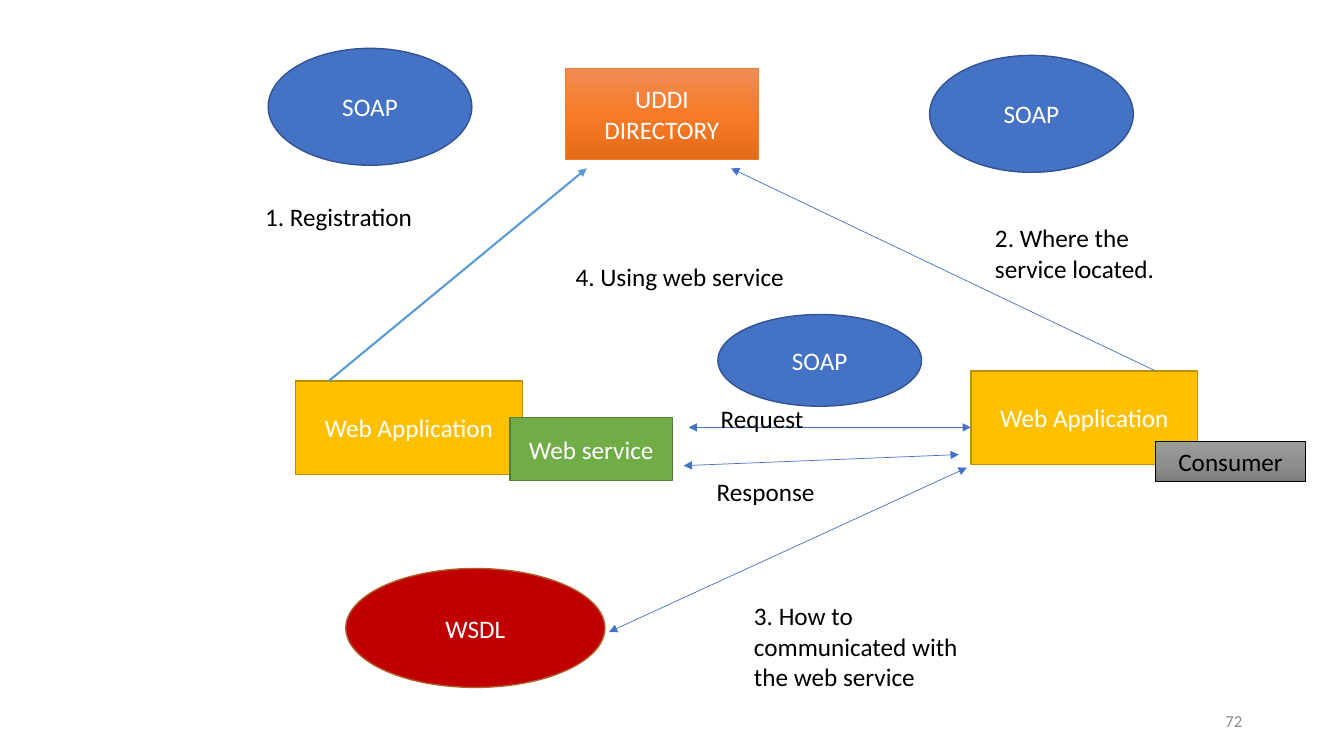
from dataclasses import dataclass

from lxml.etree import SubElement
from copy import deepcopy
from pptx import Presentation
from pptx.dml.color import RGBColor
from pptx.enum.shapes import MSO_CONNECTOR, MSO_SHAPE
from pptx.enum.text import MSO_ANCHOR, PP_ALIGN
from pptx.oxml.ns import qn
from pptx.util import Inches, Pt

FONT = "Calibri"
WHITE, BLACK, GREY = "FFFFFF", "000000", "8C8C8C"
BLUE, DARK_BLUE, LIGHT_BLUE = "4472C4", "325491", "5B9BD5"
AMBER, DARK_AMBER = "FFC000", "BD8E00"
GREEN, DARK_GREEN = "70AD47", "538035"
RED, BROWN, ORANGE = "C00000", "AF5C24", "ED7D31"
ORANGE_SHADES = ("F18C57", "F67B28", "E56C19")
GREY_SHADES = ("9D9D9D", "909090", "7C7C7C")


@dataclass
class Node:
    text: str
    left: float
    top: float
    width: float
    height: float
    fills: tuple[str, ...]
    line: str
    kind: MSO_SHAPE = MSO_SHAPE.RECTANGLE
    line_width: float = 1
    color: str = WHITE


@dataclass
class Arrow:
    start: tuple[float, float]
    end: tuple[float, float]
    both_ends: bool = True
    color: str = BLUE
    width: float = 0.5


@dataclass
class Label:
    text: str
    left: float
    top: float
    width: float
    height: float = 0.4
    wrap: bool = True
    size: int = 18
    color: str = BLACK
    align: PP_ALIGN = PP_ALIGN.LEFT
    anchor: MSO_ANCHOR = MSO_ANCHOR.TOP


def soap(left: float, top: float, height: float = 1.16) -> Node:
    return Node("SOAP", left, top, 2.02, height, (BLUE,), DARK_BLUE, MSO_SHAPE.OVAL)


def web_application(left: float, top: float) -> Node:
    return Node("Web Application", left, top, 2.25, 0.93, (AMBER,), DARK_AMBER)


NODES = [
    soap(2.66, 0.48),
    soap(9.22, 0.55),
    soap(7.12, 3.12, 0.91),
    web_application(2.93, 3.78),
    web_application(9.63, 3.68),
    Node("Web service", 5.06, 4.14, 1.61, 0.63, (GREEN,), DARK_GREEN),
    Node("UDDI DIRECTORY", 5.61, 0.68, 1.91, 0.9, ORANGE_SHADES, ORANGE, line_width=0.5),
    Node("Consumer", 11.46, 4.38, 1.49, 0.4, GREY_SHADES, BLACK, line_width=0.5, color=BLACK),
    Node("WSDL", 3.43, 5.64, 2.57, 1.18, (RED,), BROWN, MSO_SHAPE.OVAL),
]

ARROWS = [
    Arrow((3.26, 3.78), (5.82, 1.67), False, LIGHT_BLUE, 1.5),
    Arrow((11.46, 3.68), (7.25, 1.67), False),
    Arrow((6.04, 6.27), (9.59, 4.64)),
    Arrow((6.83, 4.24), (9.63, 4.24)),
    Arrow((6.78, 4.62), (9.51, 4.51)),
]

LABELS = [
    Label("1. Registration", 2.53, 1.95, 1.85),
    Label("2. Where the service located.", 9.77, 2.16, 2.15, 0.71),
    Label("3. How to communicated with the web service", 7.38, 5.91, 2.57, 1.01),
    Label("4. Using web service", 5.61, 2.54, 3.2),
    Label("Request", 7.05, 3.95, 1.03, wrap=False),
    Label("Response", 7.01, 4.68, 1.18, wrap=False),
    Label("72", 9.42, 6.95, 3, size=12, color=GREY,
          align=PP_ALIGN.RIGHT, anchor=MSO_ANCHOR.MIDDLE),
]


def rgb(color: str) -> RGBColor:
    return RGBColor.from_string(color)


def write(tf, text: str, size: int, color: str, align: PP_ALIGN, anchor: MSO_ANCHOR) -> None:
    tf.text = text
    tf.vertical_anchor = anchor
    p = tf.paragraphs[0]
    p.alignment = align
    font = p.runs[0].font
    font.name, font.size = FONT, Pt(size)
    font.color.rgb = rgb(color)


def fill_shape(sp, colors: tuple[str, ...]) -> None:
    """Fill solid for one colour, else with evenly spaced shades from top to bottom."""
    if len(colors) == 1:
        sp.fill.solid()
        sp.fill.fore_color.rgb = rgb(colors[0])
        return
    sp.fill.gradient()
    sp.fill.gradient_angle = 270
    stops = sp._element.spPr.find(qn("a:gradFill")).find(qn("a:gsLst"))
    while len(stops) < len(colors):
        stops.append(deepcopy(stops[0]))
    for i, (stop, color) in enumerate(zip(sp.fill.gradient_stops, colors)):
        stop.position = i / (len(colors) - 1)
        stop.color.rgb = rgb(color)


def add_node(s, node: Node) -> None:
    sp = s.shapes.add_shape(node.kind, Inches(node.left), Inches(node.top),
                            Inches(node.width), Inches(node.height))
    sp.shadow.inherit = False
    fill_shape(sp, node.fills)
    sp.line.color.rgb = rgb(node.line)
    sp.line.width = Pt(node.line_width)
    write(sp.text_frame, node.text, 18, node.color, PP_ALIGN.CENTER, MSO_ANCHOR.MIDDLE)


def add_arrow(s, arrow: Arrow) -> None:
    x1, y1, x2, y2 = (Inches(v) for v in arrow.start + arrow.end)
    line = s.shapes.add_connector(MSO_CONNECTOR.STRAIGHT, x1, y1, x2, y2)
    line.line.color.rgb = rgb(arrow.color)
    line.line.width = Pt(arrow.width)
    spPr = line._element.spPr
    ln = spPr.find(qn("a:ln"))
    for tag in ("a:headEnd", "a:tailEnd") if arrow.both_ends else ("a:tailEnd",):
        SubElement(ln, qn(tag), type="triangle")
    SubElement(spPr, qn("a:effectLst"))


def add_label(s, label: Label) -> None:
    box = s.shapes.add_textbox(Inches(label.left), Inches(label.top),
                               Inches(label.width), Inches(label.height))
    box.text_frame.word_wrap = label.wrap
    write(box.text_frame, label.text, label.size, label.color, label.align, label.anchor)


def main() -> None:
    prs = Presentation()
    prs.slide_width, prs.slide_height = Inches(13.33), Inches(7.5)
    s = prs.slides.add_slide(prs.slide_layouts[6])
    for node in NODES:
        add_node(s, node)
    for arrow in ARROWS:
        add_arrow(s, arrow)
    for label in LABELS:
        add_label(s, label)
    prs.save("out.pptx")


if __name__ == "__main__":
    main()
